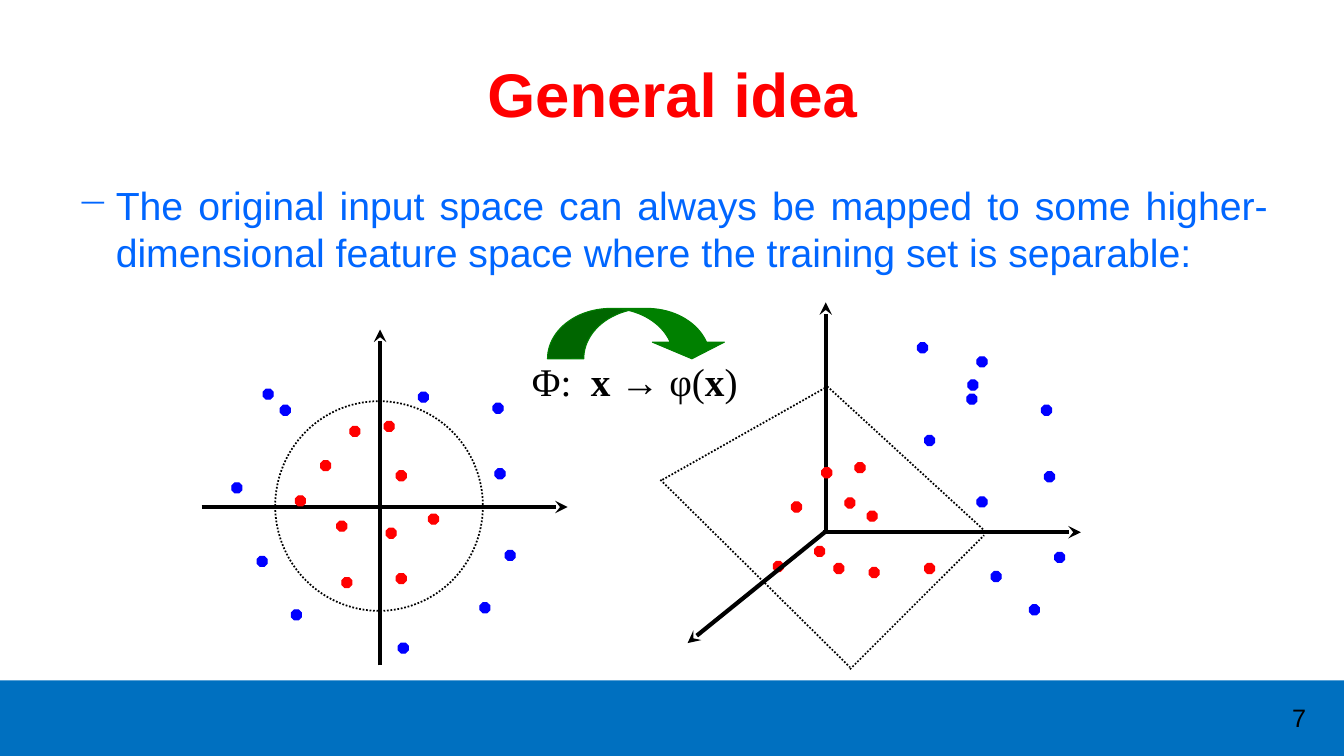
from dataclasses import dataclass
from lxml.etree import SubElement as Sub
from pptx import Presentation
from pptx.dml.color import RGBColor
from pptx.enum.dml import MSO_LINE as Dash
from pptx.enum.shapes import MSO_CONNECTOR as Conn, MSO_SHAPE as Kind
from pptx.enum.text import MSO_ANCHOR as Anchor, PP_ALIGN as Align
from pptx.oxml.ns import qn
from pptx.util import Inches, Pt


@dataclass(frozen=True)
class Theme:
    band: str = "0070C0"
    head: str = "FF0000"
    body: str = "0066FF"
    ink: str = "000000"
    red: str = "FF0000"
    blue: str = "0000FF"
    green: str = "008000"
    sans: str = "Arial"
    serif: str = "Times New Roman"
    big: int = 44
    mid: int = 28
    small: int = 18
    axis: float = 3
    dots: float = 1.25
    thin: float = 0.75


look = Theme()
deck = Presentation()
deck.slide_width, deck.slide_height = Inches(13.33), Inches(7.5)
cell = deck.slide_height / 75  # square grid, 75 rows high
wide = deck.slide_width / cell
slide = deck.slides.add_slide(deck.slide_layouts[6])
shapes = slide.shapes


def form(kind, box, fill=None, edge=None, width=look.thin):
    item = shapes.add_shape(kind, *[round(n * cell) for n in box])
    item.shadow.inherit = False
    if fill:
        item.fill.solid()
        item.fill.fore_color.rgb = RGBColor.from_string(fill)
    else:
        item.fill.background()
    if edge:
        item.line.color.rgb = RGBColor.from_string(edge)
        item.line.width = Pt(width)
    else:
        item.line.fill.background()
    return item


def stroke(ends, width, head=False):
    item = shapes.add_connector(Conn.STRAIGHT, *[round(n * cell) for n in ends])
    item.line.color.rgb = RGBColor.from_string(look.ink)
    item.line.width = Pt(width)
    if head:
        Sub(item.line._get_or_add_ln(), qn("a:tailEnd"), type="stealth")
    else:
        item.line.dash_style = Dash.ROUND_DOT
    Sub(item._element.spPr, qn("a:effectLst"))


# Footer band
form(Kind.RECTANGLE, (0, 67.5, wide, 7.5), look.band)

# Texts: box, anchor, align, bullet, font, size, colour, runs (words, bold)
texts = [
    ((124.4, 69.2, 8.9, 4), Anchor.TOP, Align.CENTER, None,
     look.sans, look.small, look.ink, [("7", False)]),
    ((6.7, 3, 120, 12.5), Anchor.MIDDLE, Align.CENTER, None,
     look.sans, look.big, look.head, [("General idea", True)]),
    ((6.7, 17.5, 120, 49.5), Anchor.TOP, Align.JUSTIFY, "─",
     look.sans, look.mid, look.body,
     [("The original input space can always be mapped to some "
       "higher-dimensional feature space where the training set is "
       "separable:", False)]),
    ((50, 35, 25.9, 5.7), Anchor.TOP, Align.CENTER, None,
     look.serif, look.mid, look.ink,
     [("Φ:  ", False), ("x → ", True), ("φ(", False), ("x", True),
      (")", False)]),
]
for box, anchor, align, mark, font, size, tint, runs in texts:
    frame = shapes.add_textbox(*[round(n * cell) for n in box]).text_frame
    frame.word_wrap = True
    frame.vertical_anchor = anchor
    para = frame.paragraphs[0]
    para.alignment = align
    if mark:
        props = para._p.get_or_add_pPr()
        dent = round(3.8 * cell)
        props.set("marL", str(dent))
        props.set("indent", str(-dent))
        Sub(props, qn("a:buChar"), char=mark)
    for words, bold in runs:
        run = para.add_run()
        run.text = words
        run.font.name, run.font.size, run.font.bold = font, Pt(size), bold
        run.font.color.rgb = RGBColor.from_string(tint)

# Axes of both spaces
for ends in [(37.7, 66, 37.7, 32.7), (20, 50.3, 56.3, 50.3),
             (81.9, 52.6, 81.9, 30), (81.6, 52.8, 107.2, 52.8)]:
    stroke(ends, look.axis, head=True)

# Data points: input space, then feature space
points = [
    (look.red, [
        (38.1, 41.8), (31.8, 45.7), (33.4, 51.7), (39.3, 56.9), (34.7, 42.3),
        (29.3, 49.2), (33.9, 57.3), (39.3, 46.7), (42.5, 51), (38.3, 52.4)]),
    (look.blue, [
        (49.1, 46.5), (47.6, 59.8), (23, 47.9), (39.5, 63.8), (50.1, 54.6),
        (28.9, 60.5), (25.5, 55.2), (26.1, 38.6), (41.5, 38.9), (27.8, 40.2),
        (48.9, 40)]),
    (look.red, [
        (84.8, 45.9), (78.5, 49.8), (82.7, 55.9), (91.7, 55.9), (81.5, 46.4),
        (83.8, 49.4), (86.2, 56.3), (86, 50.7), (80.8, 54.2), (76.7, 55.7)]),
    (look.blue, [
        (103.6, 46.8), (102.1, 60), (96.9, 35.4), (96.9, 49.3), (104.6, 54.8),
        (91.7, 43.2), (98.3, 56.7), (96, 37.7), (95.9, 39.1), (91, 34),
        (103.3, 40.2)]),
]
for tint, spots in points:
    for left, top in spots:
        form(Kind.OCTAGON, (left, top, 1, 1), tint, tint)

# Class border in the input space
ring = form(Kind.OVAL, (27.3, 39.8, 20.6, 20.8), None, look.ink, look.dots)
ring.line.dash_style = Dash.ROUND_DOT

# Third axis and dividing plane in the feature space
stroke((81.8, 52.8, 68.2, 63.8), look.axis, head=True)
for ends in [(81.8, 38.1, 97.6, 52.6), (84.3, 66.4, 97.6, 53.1),
             (65.7, 47.6, 81.8, 38.5), (65.5, 47.6, 84.3, 66.2)]:
    stroke(ends, look.dots)

# Mapping arrow
arrow = form(Kind.CURVED_DOWN_ARROW, (54.3, 30.6, 17.9, 5),
             look.green, look.green)
for spot, share in enumerate((0.717, 1.433, 0.333)):
    arrow.adjustments[spot] = round(share, 2)

deck.save("out.pptx")
